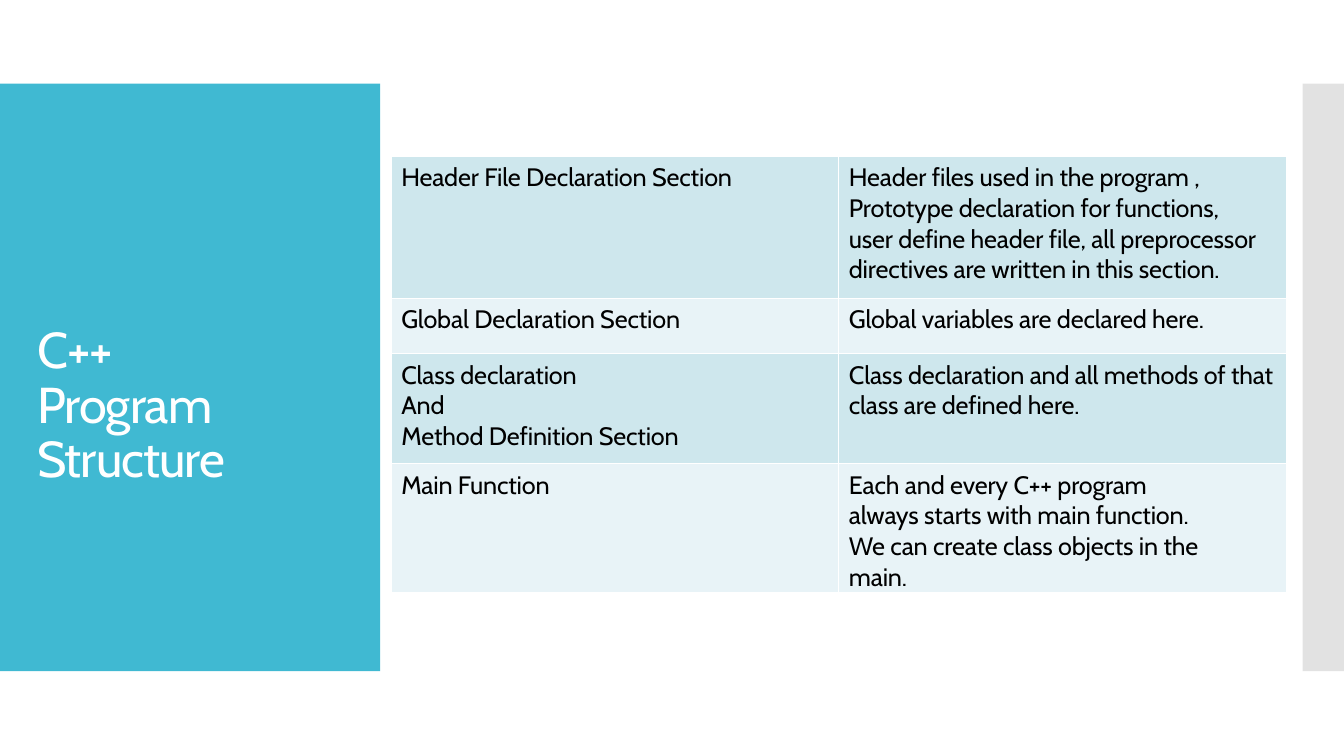
"""Build the C++ program structure slide."""
from lxml.etree import SubElement
from pptx import Presentation
from pptx.dml.color import RGBColor
from pptx.enum.shapes import MSO_AUTO_SHAPE_TYPE as ShapeType
from pptx.enum.text import MSO_ANCHOR as Anchor, MSO_AUTO_SIZE as AutoSize, PP_ALIGN as Align
from pptx.oxml.ns import qn
from pptx.util import Inches, Pt

TITLE_TEXT = "C++\vProgram\vStructure"
ROW_HEIGHTS = [1.41, 0.55, 1.09, 1.24]
COLUMN_WIDTHS = [4.44, 4.44]
SECTIONS = [
    ("Header File Declaration Section",
     "Header files used in the program ,\vPrototype declaration for functions,\v"
     "user define header file, all preprocessor\vdirectives are written in this section."),
    ("Global Declaration Section", "Global variables are declared here."),
    ("Class declaration\nAnd\nMethod Definition Section",
     "Class declaration and all methods of that\nclass are defined here."),
    ("Main Function",
     "Each and every C++ program\valways starts with main function.\n"
     "We can create class objects in the\vmain."),
]


def color(value):
    return RGBColor.from_string(value)


def apply(target, values):
    for name, value in values.items():
        setattr(target, name, value)


class StructureSlide:
    """Holds the style and the current slide."""

    font_name = "Cabin"
    band_fills = ("CEE7ED", "E8F3F7")
    cell_format = {"margin_left": Inches(0.1), "margin_top": Inches(0.06),
                   "margin_right": 0, "margin_bottom": 0, "vertical_anchor": Anchor.TOP}
    title_format = {"margin_left": Inches(0.01), "margin_top": Inches(0.12),
                    "margin_right": 0, "margin_bottom": 0, "word_wrap": True,
                    "auto_size": AutoSize.NONE, "vertical_anchor": Anchor.TOP}

    def __init__(self, presentation):
        self.slide = presentation.slides.add_slide(presentation.slide_layouts[5])

    def style_text(self, frame, size, font_color, tracking, line_spacing=None):
        for paragraph in frame.paragraphs:
            apply(paragraph, {"alignment": Align.LEFT, "line_spacing": line_spacing,
                              "space_before": Pt(0)})
            for run in paragraph.runs:
                apply(run.font, {"name": self.font_name, "size": Pt(size), "bold": False})
                run.font.color.rgb = color(font_color)
                run._r.get_or_add_rPr().set("spc", str(round(tracking * 100)))

    def panel(self, left, top, width, height, fill, opacity=100):
        shape = self.slide.shapes.add_shape(
            ShapeType.RECTANGLE, Inches(left), Inches(top), Inches(width), Inches(height))
        shape.shadow.inherit = False
        shape.line.fill.background()
        shape.fill.solid()
        shape.fill.fore_color.rgb = color(fill)
        if opacity < 100:
            fill_color = shape._element.spPr.find(qn("a:solidFill"))[0]
            SubElement(fill_color, qn("a:alpha"), val=str(opacity * 1000))

    def title(self, text, left, top, width, height):
        shape = self.slide.shapes.title
        apply(shape, {"left": Inches(left), "top": Inches(top),
                      "width": Inches(width), "height": Inches(height)})
        shape.text_frame.text = text
        apply(shape.text_frame, self.title_format)
        self.style_text(shape.text_frame, 36, "FFFFFF", -0.7, Pt(38.9))
        self.slide.shapes._spTree.append(shape._element)

    def border(self, cell):
        properties = cell._tc.get_or_add_tcPr()
        for side in ("lnL", "lnR", "lnT", "lnB"):
            line = SubElement(properties, qn(f"a:{side}"), w=str(Pt(1)))
            SubElement(SubElement(line, qn("a:solidFill")), qn("a:srgbClr"), val="FFFFFF")

    def table(self, rows, left, top, widths, heights):
        table = self.slide.shapes.add_table(
            len(rows), len(widths), Inches(left), Inches(top),
            Inches(sum(widths)), Inches(sum(heights))).table
        apply(table, {"first_row": False, "horz_banding": False})
        for column, width in zip(table.columns, widths):
            column.width = Inches(width)
        for index, (row, height, texts) in enumerate(zip(table.rows, heights, rows)):
            row.height = Inches(height)
            for cell, text in zip(row.cells, texts):
                cell.text_frame.text = text
                apply(cell, self.cell_format)
                self.border(cell)
                cell.fill.solid()
                cell.fill.fore_color.rgb = color(self.band_fills[index % 2])
                self.style_text(cell.text_frame, 18, "000000", -0.1)


def main():
    presentation = Presentation()
    apply(presentation, {"slide_width": Inches(13.33), "slide_height": Inches(7.5)})
    page = StructureSlide(presentation)
    page.panel(0, 0.83, 3.77, 5.83, "40B9D2")
    page.panel(12.92, 0.83, 0.41, 5.83, "C7C7C7", opacity=50)
    page.title(TITLE_TEXT, 0.36, 3.1, 2.66, 1.75)
    page.table(SECTIONS, 3.88, 1.55, COLUMN_WIDTHS, ROW_HEIGHTS)
    presentation.save("out.pptx")


if __name__ == "__main__":
    main()
